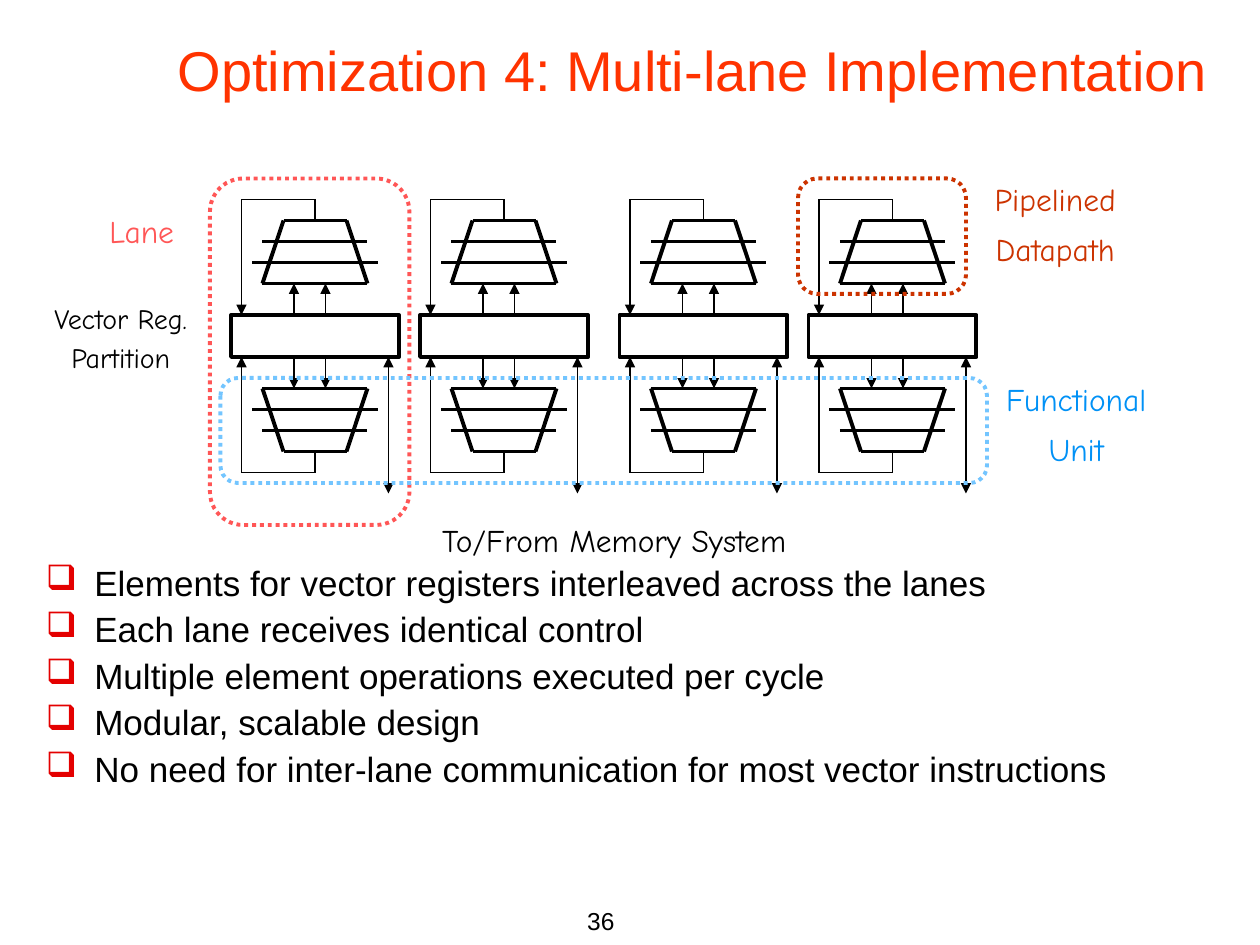
from lxml import etree
from pptx import Presentation
from pptx import util as u
from pptx.dml.color import RGBColor
from pptx.enum import dml, shapes, text
from pptx.oxml.ns import qn

PX = 7620
INK = {"black": "000000", "white": "FFFFFF", "title": "FF3300", "bullet": "E40000",
       "lane": "FF5656", "path": "CC3300", "unit": "73C5FF", "label": "0091F6"}
LANES = (220, 400, 590, 770)
POINTS = ("Elements for vector registers interleaved across the lanes",
          "Each lane receives identical control",
          "Multiple element operations executed per cycle",
          "Modular, scalable design",
          "No need for inter-lane communication for most vector instructions")
LEFT, MID, RIGHT = text.PP_ALIGN.LEFT, text.PP_ALIGN.CENTER, text.PP_ALIGN.RIGHT


def emu(*sizes):
    """Turn px lengths into EMU."""
    return [u.Emu(size * PX) for size in sizes]


def tint(key):
    """Return the named colour."""
    return RGBColor.from_string(INK[key])


def style(frame, font, size, ink, align, lead=1.0, gap=0):
    """Format every paragraph of a text frame."""
    frame.word_wrap = True
    for i, para in enumerate(frame.paragraphs):
        para.alignment = align
        para.line_spacing = lead
        para.space_before = u.Pt(gap if i else 0)
        for run in para.runs:
            run.font.name = font
            run.font.size = u.Pt(size)
            run.font.color.rgb = tint(ink)


def label(slide, box, words, *look):
    """Add a text box and return its frame."""
    frame = slide.shapes.add_textbox(*emu(*box)).text_frame
    frame.text = words
    style(frame, *look)
    return frame


def wire(group, start, end, width=0.75, tips=()):
    """Draw a straight black line with optional arrowheads."""
    line = group.shapes.add_connector(shapes.MSO_CONNECTOR.STRAIGHT, *emu(*start, *end))
    line.line.width = u.Pt(width)
    line.line.color.rgb = tint("black")
    for tip in tips:
        etree.SubElement(line.line._get_or_add_ln(), qn(f"a:{tip}"), type="triangle")
    etree.SubElement(line._element.spPr, qn("a:effectLst"))


def frame(parent, kind, box, ink, dash=None):
    """Draw an unfilled outline."""
    shape = parent.shapes.add_shape(kind, *emu(*box))
    shape.shadow.inherit = False
    shape.fill.background()
    shape.line.color.rgb = tint(ink)
    shape.line.width = u.Pt(2.25)
    if dash:
        shape.line.dash_style = dash


def unit(group, x, edge, way):
    """Draw a pipelined unit above (-1) or below (1) a register edge."""
    def at(dx, dist):
        return x + dx, edge + way * dist

    for inset, dist in ((30, 30), (20, 50), (30, 70), (50, 90)):
        wire(group, at(inset, dist), at(160 - inset, dist), 2.25)
    for near, far in ((30, 50), (130, 110)):
        wire(group, at(near, 30), at(far, 90), 2.25)
    for dx in (60, 90):
        wire(group, at(dx, 0), at(dx, 30), tips=("tailEnd",))
    wire(group, at(80, 90), at(80, 110))
    wire(group, at(80, 110), at(10, 110))
    wire(group, at(10, 110), at(10, 0), tips=("tailEnd",))


def lane(slide, x, y):
    """Draw one lane around its register partition."""
    group = slide.shapes.add_group_shape()
    frame(group, shapes.MSO_SHAPE.RECTANGLE, (x, y, 160, 40), "black")
    unit(group, x, y, -1)
    unit(group, x, y + 40, 1)
    wire(group, (x + 150, y + 40), (x + 150, y + 170), tips=("headEnd", "tailEnd"))


def head(slide, box):
    """Place and format the title."""
    title = slide.shapes.title
    title.left, title.top, title.width, title.height = emu(*box)
    title.fill.solid()
    title.fill.fore_color.rgb = tint("white")
    body = title.text_frame
    body.text = "Optimization 4: Multi-lane Implementation"
    body.auto_size = text.MSO_AUTO_SIZE.NONE
    body.vertical_anchor = text.MSO_ANCHOR.MIDDLE
    style(body, "Arial", 32, "title", LEFT)


def chart(slide, x, y):
    """Draw the lanes, their dotted outlines and the labels."""
    for dx in LANES:
        lane(slide, x + dx, y + 300)
    for box, ink in (((760, 170, 160, 110), "path"),
                     ((200, 170, 160 + 80 // 2 - 10, 330), "lane"),
                     ((210, 360, 730, 100), "unit")):
        frame(slide, shapes.MSO_SHAPE.ROUNDED_RECTANGLE,
              (x + box[0], y + box[1], *box[2:]), ink, dml.MSO_LINE.ROUND_DOT)
    for box, words, size, ink, lead in (
            ((200, 490, 770, 48), "To/From Memory System", 18, "black", 1.0),
            ((890, 170, 230, 95), "Pipelined\nDatapath", 18, "path", 0.9),
            ((910, 360, 230, 95), "Functional\nUnit", 18, "label", 0.9),
            ((50, 200, 170, 44), "Lane", 18, "lane", 0.9),
            ((0, 290, 230, 73), "Vector Reg.\nPartition", 16, "black", 0.7)):
        label(slide, (x + box[0], y + box[1], *box[2:]), words,
              "Comic Neue", size, ink, MID, lead, 9)


def notes(slide, box):
    """Add the bulleted points."""
    body = label(slide, box, "\n".join(POINTS), "Arial", 20, "black", LEFT, 0.9, 5)
    for para in body.paragraphs:
        props = para._p.get_or_add_pPr()
        props.set("marL", str(46 * PX))
        props.set("indent", str(-46 * PX))
        color = etree.SubElement(props, qn("a:buClr"))
        etree.SubElement(color, qn("a:srgbClr"), val=INK["bullet"])
        etree.SubElement(props, qn("a:buChar"), char="❑")


def main():
    """Build and save the slide."""
    deck = Presentation()
    deck.slide_width, deck.slide_height = emu(1200, 900)
    slide = deck.slides.add_slide(deck.slide_layouts[5])
    head(slide, (157, 5, 1025, 122))
    notes(slide, (32, 533, 1134, 245))
    chart(slide, 0, 0)
    label(slide, (347, 857, 250, 60), "36", "Arial", 14, "black", RIGHT)
    deck.save("out.pptx")


if __name__ == "__main__":
    main()
